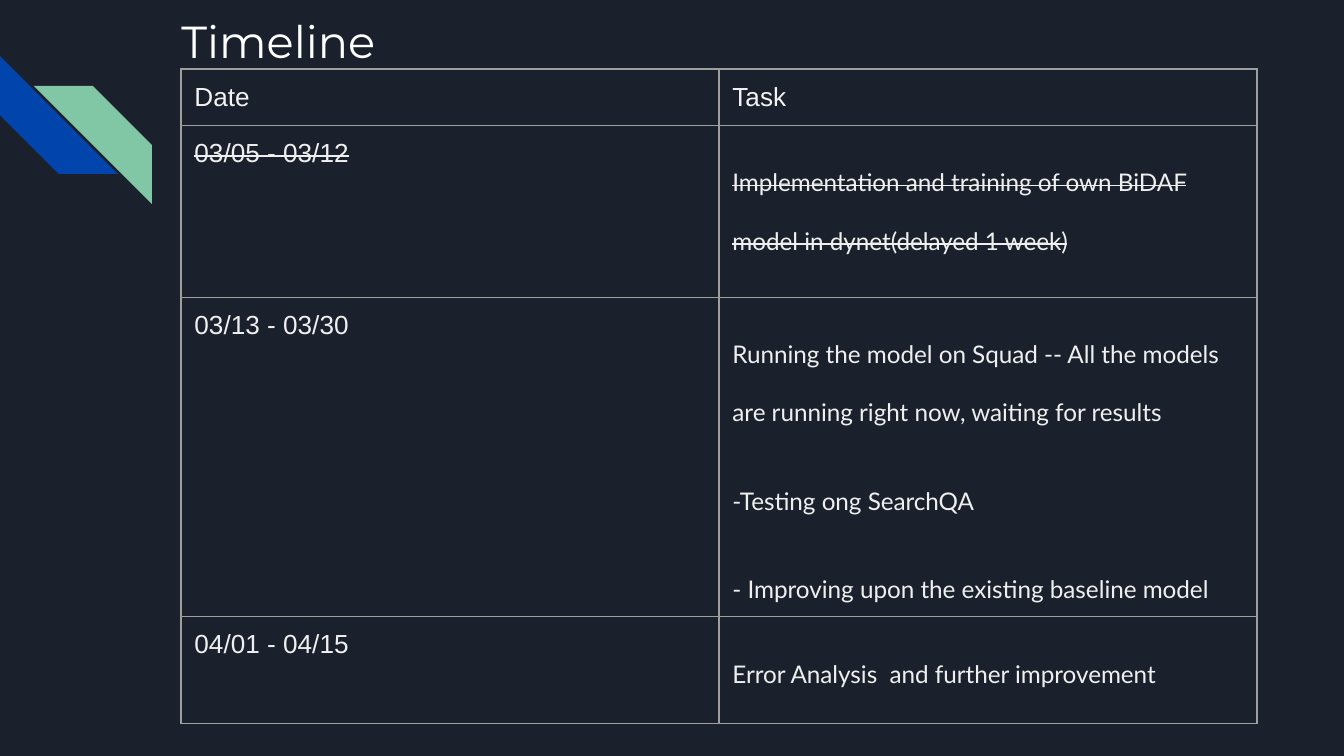
from lxml.etree import SubElement
from pptx import Presentation
from pptx.dml.color import RGBColor
from pptx.enum.shapes import MSO_SHAPE
from pptx.enum.text import MSO_ANCHOR, MSO_AUTO_SIZE, PP_ALIGN
from pptx.oxml.ns import qn
from pptx.util import Emu, Pt

ROW_HEIGHTS = [56, 172, 319, 107]
ROWS = [
    ("Date", ["Task"]),
    ("03/05 - 03/12", ["Implementation and training of own BiDAF model in dynet(delayed 1 week)"]),
    ("03/13 - 03/30", ["Running the model on Squad -- All the models are running right now, waiting for results",
                       "-Testing ong SearchQA",
                       "- Improving upon the existing baseline model"]),
    ("04/01 - 04/15", ["Error Analysis  and further improvement"]),
]
DONE_ROW = 1


def px(n):
    """Turn px into EMU."""
    return Emu(round(n * 9144000 / 1344))


def rgb(color):
    """Turn a hex string into a colour."""
    return RGBColor.from_string(color)


def set_font(p, name, size, color):
    """Format a whole paragraph."""
    p.font.name, p.font.size, p.font.bold = name, Pt(size), False
    p.font.color.rgb = rgb(color)


def set_insets(box, inset):
    """Give a cell or text frame equal margins."""
    box.margin_left = box.margin_right = box.margin_top = box.margin_bottom = inset


def add_stripe(s, x, y, size, color):
    """Add a diagonal stripe in a square box."""
    sp = s.shapes.add_shape(MSO_SHAPE.DIAGONAL_STRIPE, px(x), px(y), px(size), px(size))
    sp.shadow.inherit = False
    sp.fill.solid()
    sp.fill.fore_color.rgb = rgb(color)
    sp.line.fill.background()
    return sp


def add_ornament(s, x, y):
    """Place the pair of stripes."""
    add_stripe(s, x, y, 118, "0145AC").rotation = 270
    green = add_stripe(s, x + 34, y + 30, 118, "82C7A5")
    green._element.spPr.find(qn("a:xfrm")).set("flipH", "1")


def set_title(s, x, y, w, h):
    """Place and format the title."""
    sp = s.shapes.title
    sp.left, sp.top, sp.width, sp.height = px(x), px(y), px(w), px(h)
    tf = sp.text_frame
    tf.text = "Timeline"
    tf.auto_size = MSO_AUTO_SIZE.NONE
    tf.word_wrap = True
    tf.vertical_anchor = MSO_ANCHOR.TOP
    set_insets(tf, Pt(7.2))
    p = tf.paragraphs[0]
    p.alignment = PP_ALIGN.LEFT
    set_font(p, "Montserrat", 24, "FFFFFF")


def set_borders(cell, color, width):
    """Draw all four borders of a cell."""
    tcPr = cell._tc.get_or_add_tcPr()
    for side in ("lnL", "lnR", "lnT", "lnB"):
        ln = SubElement(tcPr, qn(f"a:{side}"), w=str(Pt(width)))
        fill = SubElement(ln, qn("a:solidFill"))
        SubElement(fill, qn("a:srgbClr"), val=color)


def fill_cell(cell, texts, is_task, done, color):
    """Write the paragraphs of a cell."""
    set_insets(cell, Pt(7.2))
    set_borders(cell, "9E9E9E", 0.75)
    cell.fill.background()
    tf = cell.text_frame
    for i, text in enumerate(texts):
        p = tf.add_paragraph() if i else tf.paragraphs[0]
        r = p.add_run()
        r.text = text
        set_font(p, "Lato" if is_task else "Arial", 13 if is_task else 14, color)
        if is_task:
            p.line_spacing = 2.0
            p.space_before = Pt(16 if i else 0)
        if done:
            r._r.get_or_add_rPr().set("strike", "sngStrike")


def add_timeline(s, x, y, w):
    """Add the table of dates and tasks."""
    frame = s.shapes.add_table(len(ROWS), 2, px(x), px(y), px(w), px(sum(ROW_HEIGHTS)))
    table = frame.table
    table.first_row = table.horz_banding = False
    for col in table.columns:
        col.width = px(w // 2)
    for i, (date, tasks) in enumerate(ROWS):
        table.rows[i].height = px(ROW_HEIGHTS[i])
        color = "EFEFEF" if i else "F3F3F3"
        fill_cell(table.cell(i, 0), [date], False, i == DONE_ROW, color)
        fill_cell(table.cell(i, 1), tasks, i > 0, i == DONE_ROW, color)


def main():
    """Build the slide."""
    prs = Presentation()
    prs.slide_width, prs.slide_height = px(1344), px(756)
    s = prs.slides.add_slide(prs.slide_layouts[5])
    s.background.fill.solid()
    s.background.fill.fore_color.rgb = rgb("1B212C")
    add_ornament(s, 0, 56)
    set_title(s, 168, 0, 1035, 134)
    add_timeline(s, 181, 69, 1076)
    prs.save("out.pptx")


if __name__ == "__main__":
    main()
